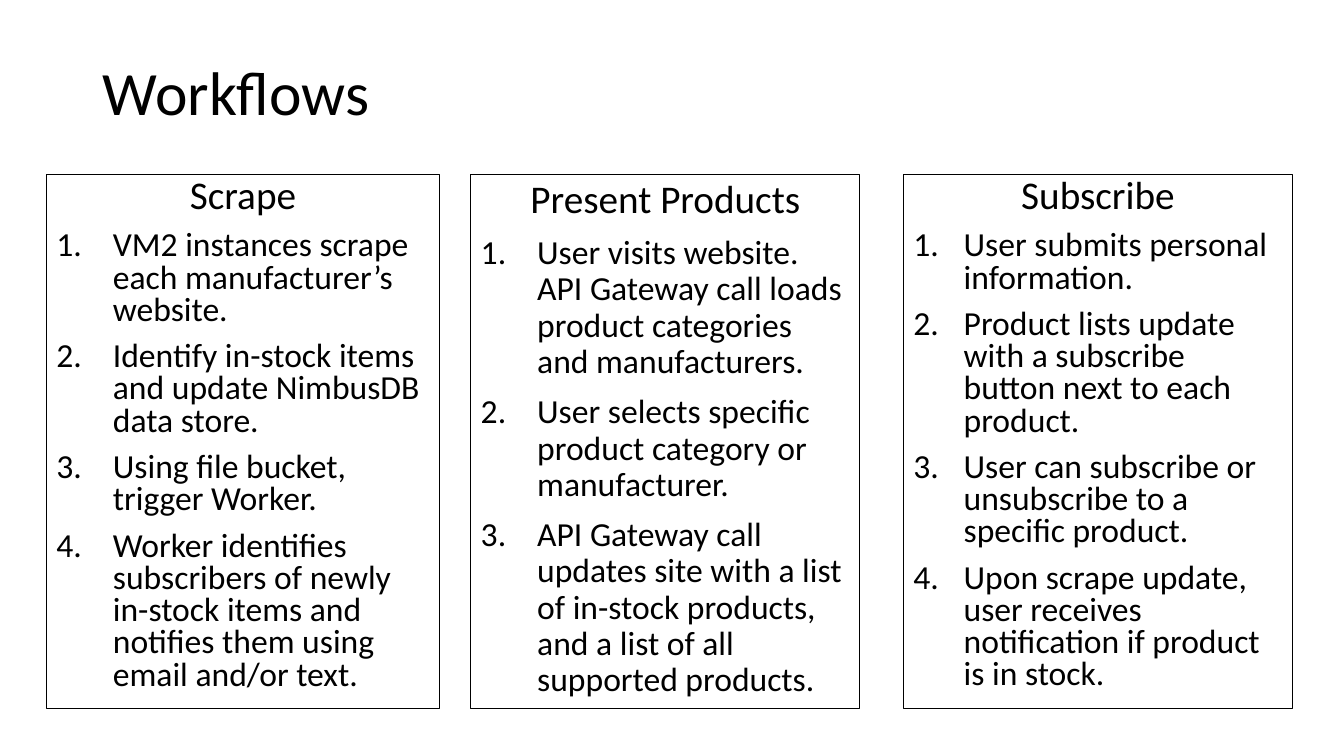
"""Build the Workflows slide: three boxed, numbered columns under a title."""
import pptx
import pptx.dml.color
import pptx.enum.text
import pptx.util
import lxml.etree

Inches, Pt = pptx.util.Inches, pptx.util.Pt
ALIGN = pptx.enum.text.PP_ALIGN
ANCHOR = pptx.enum.text.MSO_ANCHOR

TITLE = "Workflows"
FLOWS = [
    {"head": "Scrape", "left": 0.46, "width": 3.9, "space": 0.8, "indent": 0.56,
     "steps": ["VM2 instances scrape each manufacturer’s website.",
               "Identify in-stock items and update NimbusDB data store.",
               "Using file bucket, trigger Worker.",
               "Worker identifies subscribers of newly in-stock items and "
               "notifies them using email and/or text."]},
    {"head": "Present Products", "left": 4.67, "width": 3.86, "space": 0.9, "indent": 0.56,
     "steps": ["User visits website. API Gateway call loads product categories "
               "and manufacturers.",
               "User selects specific product category or manufacturer.",
               "API Gateway call updates site with a list of in-stock products, "
               "and a list of all supported products."]},
    {"head": "Subscribe", "left": 8.96, "width": 3.86, "space": 0.8, "indent": 0.5,
     "steps": ["User submits personal information.",
               "Product lists update with a subscribe button next to each product.",
               "User can subscribe or unsubscribe to a specific product.",
               "Upon scrape update, user receives notification if product is in stock."]},
]
COLORS = {"ink": "000000"}
FONT = "Calibri"
TOP, HEIGHT = 1.73, 5.3


def place(shape, left, top, width, height):
    shape.left, shape.top = Inches(left), Inches(top)
    shape.width, shape.height = Inches(width), Inches(height)


def style(para, size, space, align):
    para.alignment = align
    para.line_spacing = space
    for run in para.runs:
        run.font.name = FONT
        run.font.size = Pt(size)
        run.font.color.rgb = pptx.dml.color.RGBColor.from_string(COLORS["ink"])


def mark(para, indent, tag, **attrs):
    props = para._p.get_or_add_pPr()
    props.set("marL", str(Inches(indent)))
    props.set("indent", str(-Inches(indent)))
    lxml.etree.SubElement(props, pptx.oxml.ns.qn(tag), attrs)


def fill(shape, flow):
    place(shape, flow["left"], TOP, flow["width"], HEIGHT)
    shape.line.color.rgb = pptx.dml.color.RGBColor.from_string(COLORS["ink"])
    shape.line.width = Pt(0.75)
    frame = shape.text_frame
    frame.text = "\n".join([flow["head"], *flow["steps"]])
    frame.word_wrap = True
    frame.auto_size = pptx.enum.text.MSO_AUTO_SIZE.NONE
    frame.vertical_anchor = ANCHOR.TOP
    head, *steps = frame.paragraphs
    style(head, 28, flow["space"], ALIGN.CENTER)
    head.space_before = Pt(10)
    mark(head, 0, "a:buNone")
    for step in steps:
        style(step, 24, flow["space"], ALIGN.LEFT)
        step.space_before = Pt(10)
        mark(step, flow["indent"], "a:buAutoNum", type="arabicPeriod")


def main():
    deck = pptx.Presentation()
    deck.slide_width, deck.slide_height = Inches(13.33), Inches(7.5)
    slide = deck.slides.add_slide(deck.slide_layouts[1])
    title, body = slide.placeholders
    place(title, 0.92, 0.4, 11.5, 1.1)
    title.text_frame.text = TITLE
    title.text_frame.vertical_anchor = ANCHOR.MIDDLE
    style(title.text_frame.paragraphs[0], 44, 0.9, ALIGN.LEFT)
    fill(body, FLOWS[0])
    for flow in FLOWS[1:]:
        fill(slide.shapes.add_textbox(0, 0, 0, 0), flow)
    deck.save("out.pptx")


if __name__ == "__main__":
    main()
